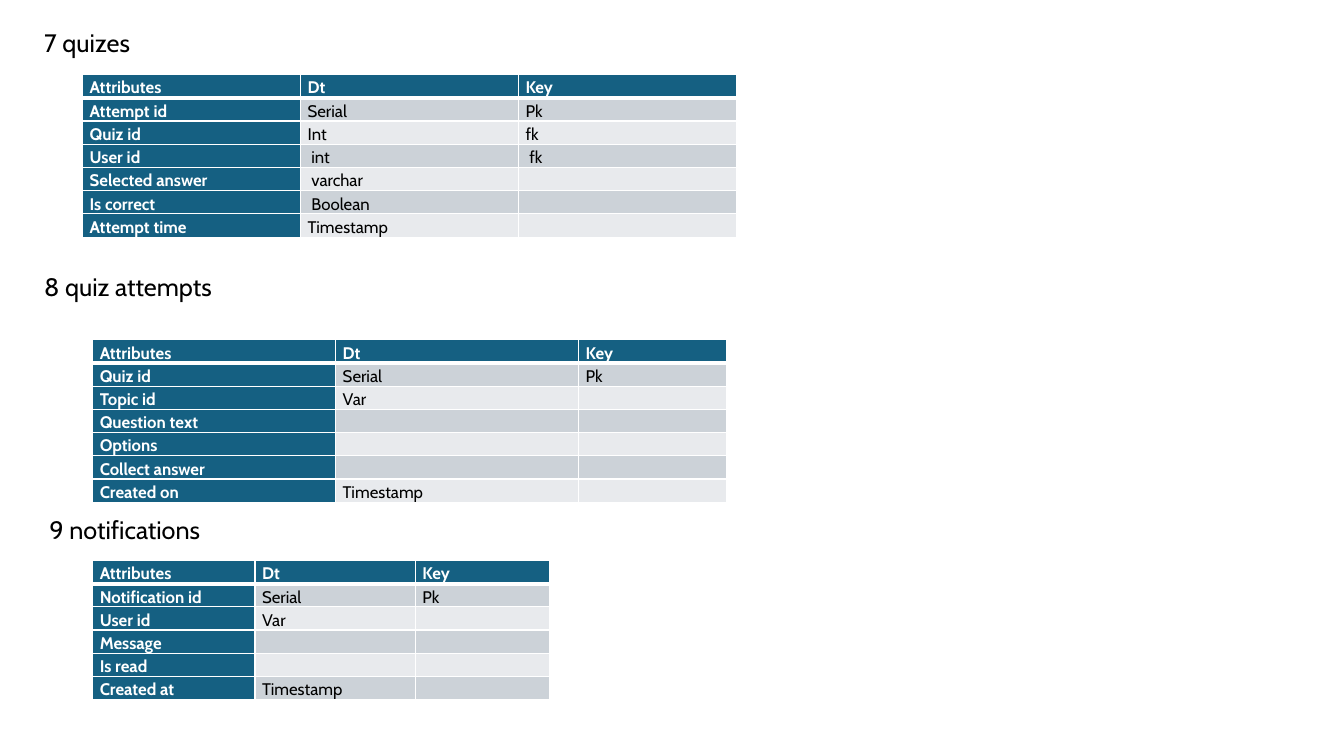
from lxml.etree import SubElement
from pptx import Presentation
from pptx.dml.color import RGBColor
from pptx.oxml.ns import qn
from pptx.util import Inches, Pt

SLIDE_WIDTH, SLIDE_HEIGHT = Inches(13.33), Inches(7.5)
FONT = "Cabin"
COLORS = {"header": "156082", "odd": "CCD2D8", "even": "E8EAED",
          "light": "FFFFFF", "dark": "000000"}
HEADINGS = ("Attributes", "Dt", "Key")
ROW_HEIGHT, TITLE_HEIGHT = 2.92, 5.33

# Lengths are percentages of the slide's width and height.
# box: left, top, width of the section; offset: table position within the box
SECTIONS = [
    dict(title="7 quizes", box=(2.55, 2.93, 57.38), offset=(3.6, 6.94),
         columns=(16.22, 16.22, 16.22),
         rows=[("Attempt id", "Serial", "Pk"), ("Quiz id", "Int", "fk "),
               ("User id", " int", " fk"), ("Selected answer", " varchar", ""),
               ("Is correct", " Boolean", ""), ("Attempt time", "Timestamp", "")]),
    dict(title="8 quiz attempts", box=(2.55, 35.2, 57.38), offset=(4.35, 9.73),
         columns=(18.08, 18.08, 11.03),
         rows=[("Quiz id", "Serial", "Pk"), ("Topic id", "Var", ""),
               ("Question text", "", ""), ("Options", "", ""),
               ("Collect answer", "", ""), ("Created on", "Timestamp", "")]),
    dict(title="9 notifications", box=(2.93, 67.33, 57.38), offset=(3.97, 6.8),
         columns=(12.08, 11.93, 9.98),
         rows=[("Notification id", "Serial", "Pk"), ("User id", "Var", ""),
               ("Message", "", ""), ("Is read", "", ""),
               ("Created at", "Timestamp", "")]),
]


def across(percent):
    return round(SLIDE_WIDTH * percent / 100)


def down(percent):
    return round(SLIDE_HEIGHT * percent / 100)


def write_text(paragraph, text, size, color, bold=False):
    if not text:
        # An empty cell keeps the text size so that its row stays low
        SubElement(paragraph._p, qn("a:endParaRPr"), sz=str(size * 100))
        return
    run = paragraph.add_run()
    run.text = text
    run.font.name = FONT
    run.font.size = Pt(size)
    run.font.bold = bold
    run.font.color.rgb = RGBColor.from_string(COLORS[color])


def add_borders(cell, top, bottom):
    properties = cell._tc.get_or_add_tcPr()
    for side, width in (("L", 1), ("R", 1), ("T", top), ("B", bottom)):
        line = SubElement(properties, qn(f"a:ln{side}"), w=str(Pt(width)))
        fill = SubElement(line, qn("a:solidFill"))
        SubElement(fill, qn("a:srgbClr"), val=COLORS["light"])


def format_cell(cell, text, row, column):
    is_heading = row == 0 or column == 0
    fill = "header" if is_heading else "odd" if row % 2 else "even"
    cell.margin_left = cell.margin_right = Inches(0.07)
    cell.margin_top = cell.margin_bottom = 0
    add_borders(cell, top=3 if row == 1 else 1, bottom=3 if row == 0 else 1)
    cell.fill.solid()
    cell.fill.fore_color.rgb = RGBColor.from_string(COLORS[fill])
    paragraph = cell.text_frame.paragraphs[0]
    paragraph.line_spacing = 1.15
    paragraph.space_after = Pt(8)
    write_text(paragraph, text, size=12, bold=is_heading,
               color="light" if is_heading else "dark")


def add_attribute_table(slide, left, top, columns, rows):
    lines = [HEADINGS, *rows]
    frame = slide.shapes.add_table(
        len(lines), len(columns), across(left), down(top),
        across(sum(columns)), down(ROW_HEIGHT * len(lines)))
    table = frame.table
    for table_column, width in zip(table.columns, columns):
        table_column.width = across(width)
    for row, line in enumerate(lines):
        table.rows[row].height = down(ROW_HEIGHT)
        for column, text in enumerate(line):
            format_cell(table.cell(row, column), text, row, column)


def add_section(slide, title, box, offset, columns, rows):
    left, top, width = box
    # Title
    shape = slide.shapes.add_textbox(across(left), down(top),
                                     across(width), down(TITLE_HEIGHT))
    shape.text_frame.word_wrap = True
    write_text(shape.text_frame.paragraphs[0], title, size=18, color="dark")
    # Table below the title
    add_attribute_table(slide, left + offset[0], top + offset[1], columns, rows)


def main():
    presentation = Presentation()
    presentation.slide_width, presentation.slide_height = SLIDE_WIDTH, SLIDE_HEIGHT
    slide = presentation.slides.add_slide(presentation.slide_layouts[6])
    for section in SECTIONS:
        add_section(slide, **section)
    presentation.save("out.pptx")


if __name__ == "__main__":
    main()
